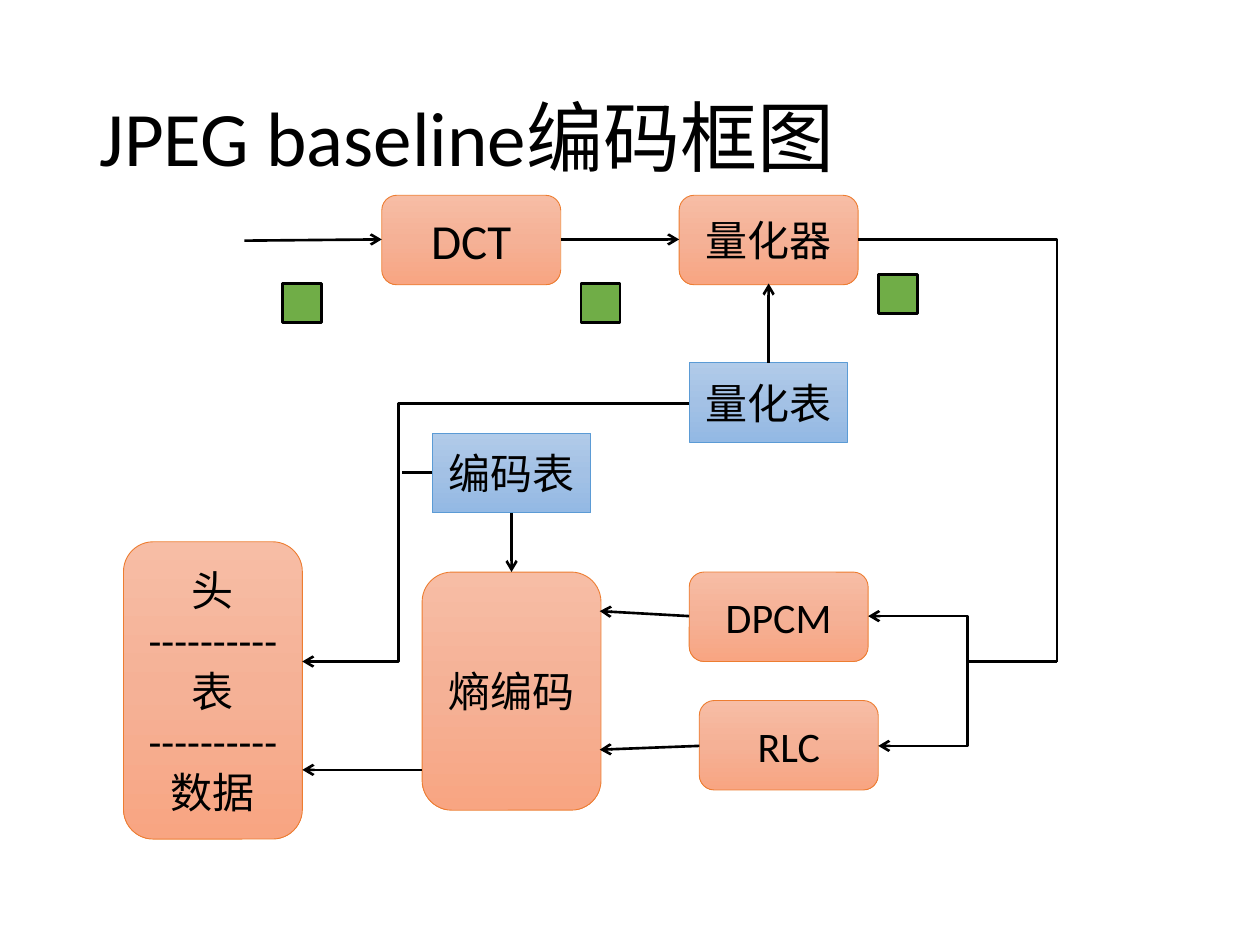
from copy import deepcopy

from lxml import etree
from pptx import Presentation
from pptx import util as u
from pptx.dml.color import RGBColor
from pptx.enum import shapes, text
from pptx.oxml import ns

BLACK = RGBColor(0x00, 0x00, 0x00)
GREEN = RGBColor(0x70, 0xAD, 0x47)
ORANGE_LINE = RGBColor(0xED, 0x7D, 0x31)
ORANGE_STOPS = [RGBColor(0xF7, 0xBD, 0xA5), RGBColor(0xF5, 0xB1, 0x96), RGBColor(0xF8, 0xA5, 0x82)]
BLUE_LINE = RGBColor(0x5B, 0x9B, 0xD5)
BLUE_STOPS = [RGBColor(0xB1, 0xCB, 0xE9), RGBColor(0xA3, 0xC1, 0xE5), RGBColor(0x93, 0xB9, 0xE4)]

LATIN_FONT = "Calibri"
CJK_FONT = "Noto Sans CJK SC"
STAGE_WIDTH, STAGE_HEIGHT = 1.42, 0.71
TABLE_WIDTH, TABLE_HEIGHT = 1.26, 0.63
BLOCK_SIZE = 0.31


def format_paragraph(paragraph, size, alignment, font_name=LATIN_FONT):
    paragraph.alignment = alignment
    font = paragraph.font
    font.name = font_name
    font.size = u.Pt(size)
    font.color.rgb = BLACK
    east_asian = etree.SubElement(font._element, ns.qn("a:ea"))
    east_asian.set("typeface", CJK_FONT)


def add_title(slide, wording):
    title = slide.shapes.title
    title.left, title.top = u.Inches(0.69), u.Inches(0.4)
    title.width, title.height = u.Inches(8.62), u.Inches(1.45)
    title.text_frame.text = wording
    title.text_frame.vertical_anchor = text.MSO_ANCHOR.MIDDLE
    paragraph = title.text_frame.paragraphs[0]
    paragraph.line_spacing = 0.9
    format_paragraph(paragraph, 44, text.PP_ALIGN.LEFT)


def add_box(slide, preset, left, top, width, height, line_color, line_width):
    shape = slide.shapes.add_shape(
        preset, u.Inches(left), u.Inches(top), u.Inches(width), u.Inches(height))
    shape.shadow.inherit = False
    shape.line.color.rgb = line_color
    shape.line.width = u.Pt(line_width)
    return shape


def fill_gradient(shape, colors):
    shape.fill.gradient()
    shape.fill.gradient_angle = 270
    stop_list = shape._element.spPr.find(ns.qn("a:gradFill")).find(ns.qn("a:gsLst"))
    stop_list.insert(1, deepcopy(stop_list[0]))
    for stop, color, position in zip(shape.fill.gradient_stops, colors, (0, 0.5, 1)):
        stop.color.rgb = color
        stop.position = position


def write_label(shape, wording, size, font_name):
    shape.text_frame.text = wording
    shape.text_frame.vertical_anchor = text.MSO_ANCHOR.MIDDLE
    for paragraph in shape.text_frame.paragraphs:
        format_paragraph(paragraph, size, text.PP_ALIGN.CENTER, font_name)


def add_stage(slide, wording, left, top, height=STAGE_HEIGHT, size=24):
    shape = add_box(slide, shapes.MSO_SHAPE.ROUNDED_RECTANGLE, left, top,
                    STAGE_WIDTH, height, ORANGE_LINE, 0.5)
    fill_gradient(shape, ORANGE_STOPS)
    write_label(shape, wording, size, LATIN_FONT)


def add_code_table(slide, wording, left, top):
    shape = add_box(slide, shapes.MSO_SHAPE.RECTANGLE, left, top,
                    TABLE_WIDTH, TABLE_HEIGHT, BLUE_LINE, 0.5)
    fill_gradient(shape, BLUE_STOPS)
    write_label(shape, wording, 24, CJK_FONT)


def add_data_block(slide, left, top):
    shape = add_box(slide, shapes.MSO_SHAPE.RECTANGLE, left, top,
                    BLOCK_SIZE, BLOCK_SIZE, BLACK, 1.5)
    shape.fill.solid()
    shape.fill.fore_color.rgb = GREEN


def add_line(slide, start, end, arrows=("tailEnd",), kind=shapes.MSO_CONNECTOR.STRAIGHT):
    connector = slide.shapes.add_connector(kind, *(u.Inches(value) for value in start + end))
    connector.line.color.rgb = BLACK
    connector.line.width = u.Pt(1.5)
    for arrow in arrows:
        etree.SubElement(connector.line._get_or_add_ln(), ns.qn("a:" + arrow)).set("type", "arrow")
    etree.SubElement(connector._element.spPr, ns.qn("a:effectLst"))
    return connector


def add_elbow(slide, start, end, bend, arrows=("tailEnd",)):
    """Draw an elbow with its upright part at x = bend."""
    connector = add_line(slide, start, end, arrows, shapes.MSO_CONNECTOR.ELBOW)
    geometry = connector._element.spPr.find(ns.qn("a:prstGeom"))
    if bend == end[0]:
        geometry.set("prst", "bentConnector2")
        return
    ratio = (bend - start[0]) / (end[0] - start[0])
    guides = geometry.find(ns.qn("a:avLst"))
    guide = etree.SubElement(guides, ns.qn("a:gd"))
    guide.set("name", "adj1")
    guide.set("fmla", f"val {round(ratio * 100000)}")


def main():
    presentation = Presentation()
    presentation.slide_width, presentation.slide_height = u.Inches(10), u.Inches(7.5)
    slide = presentation.slides.add_slide(presentation.slide_layouts[5])
    add_title(slide, "JPEG baseline编码框图")

    # Processing stages and their tables
    add_stage(slide, "DCT", 3.03, 1.55, size=28)
    add_stage(slide, "量化器", 5.39, 1.55)
    add_code_table(slide, "量化表", 5.47, 2.88)
    add_code_table(slide, "编码表", 3.43, 3.44)
    add_stage(slide, "熵编码", 3.35, 4.54, height=1.89)
    divider = "-" * 10
    add_stage(slide, "\n".join(["头", divider, "表", divider, "数据"]), 0.98, 4.3, height=2.36)
    add_stage(slide, "DPCM", 5.47, 4.54)
    add_stage(slide, "RLC", 5.55, 5.56)

    # Data blocks between the stages
    for left, top in [(2.24, 2.25), (4.61, 2.25), (6.97, 2.18)]:
        add_data_block(slide, left, top)

    # Straight arrows
    for start, end in [
        ((1.94, 1.91), (3.03, 1.9)),    # input to DCT
        ((4.45, 1.9), (5.39, 1.9)),     # DCT to quantiser
        ((6.1, 2.88), (6.1, 2.25)),     # quantisation table to quantiser
        ((4.06, 4.07), (4.06, 4.54)),   # code table to entropy coder
        ((5.47, 4.89), (4.76, 4.85)),   # DPCM to entropy coder
        ((5.55, 5.92), (4.76, 5.95)),   # RLC to entropy coder
        ((3.35, 6.11), (2.4, 6.11)),    # entropy coder to data
    ]:
        add_line(slide, start, end)

    # Quantiser output, split to DPCM and RLC
    add_elbow(slide, (6.81, 1.9), (8.39, 5.25), 8.39, arrows=())
    add_line(slide, (8.39, 5.25), (7.68, 5.25), arrows=())
    add_elbow(slide, (6.89, 4.89), (6.97, 5.92), 7.68, arrows=("headEnd", "tailEnd"))

    # Tables joined into the stream header
    add_elbow(slide, (5.47, 3.2), (2.4, 5.25), 3.16)
    add_line(slide, (3.43, 3.75), (3.19, 3.75), arrows=())

    presentation.save("out.pptx")


if __name__ == "__main__":
    main()
